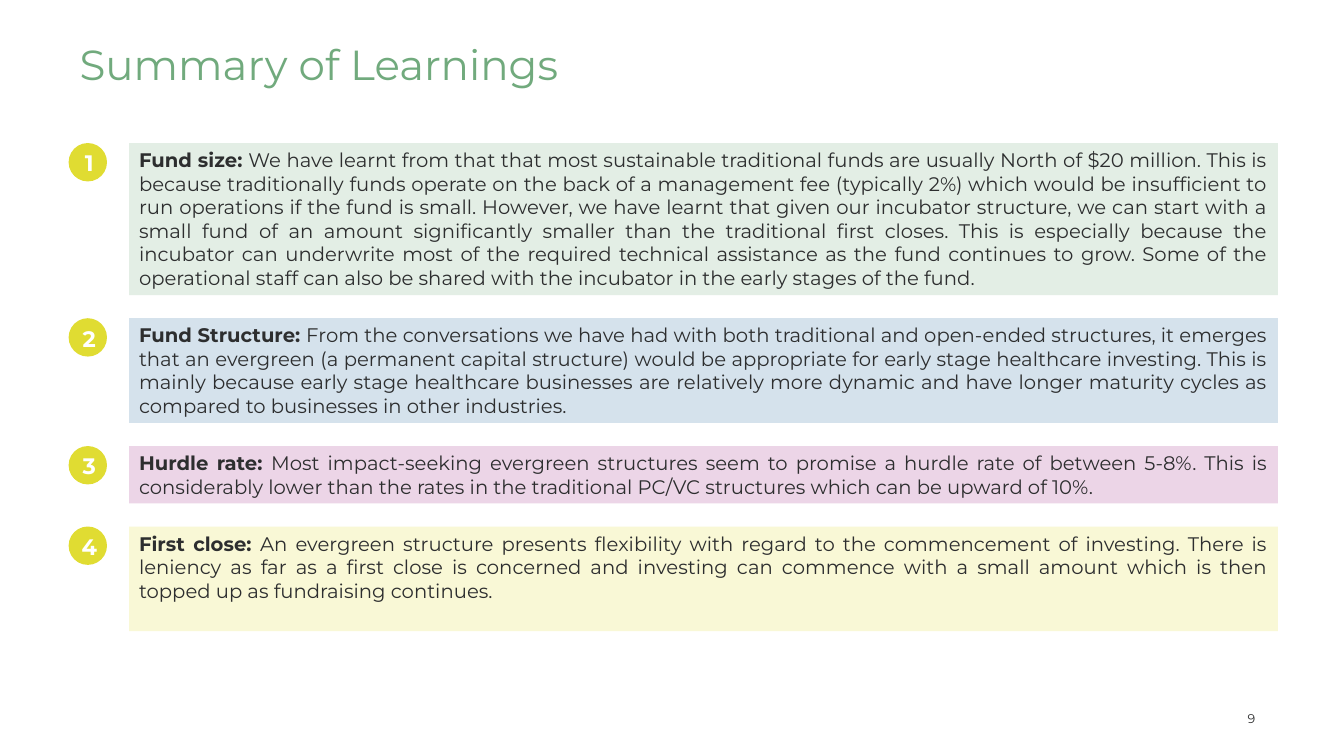
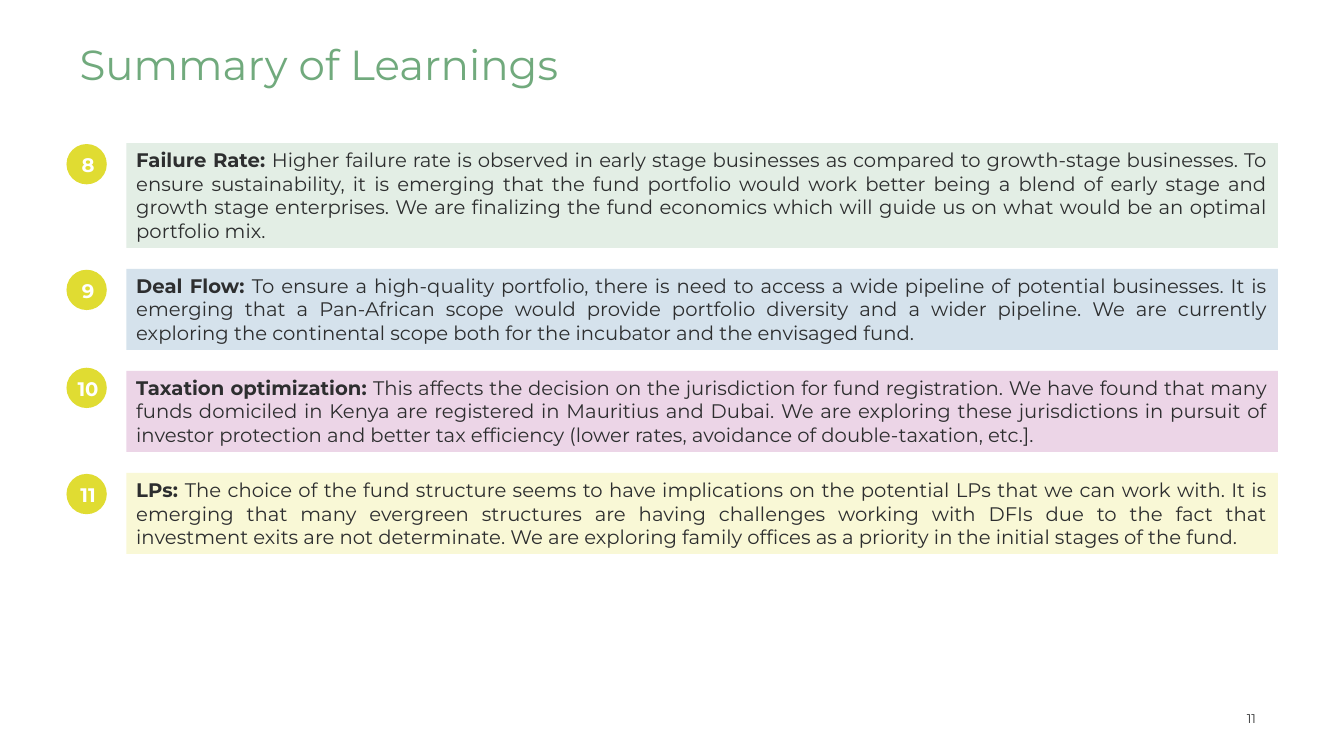
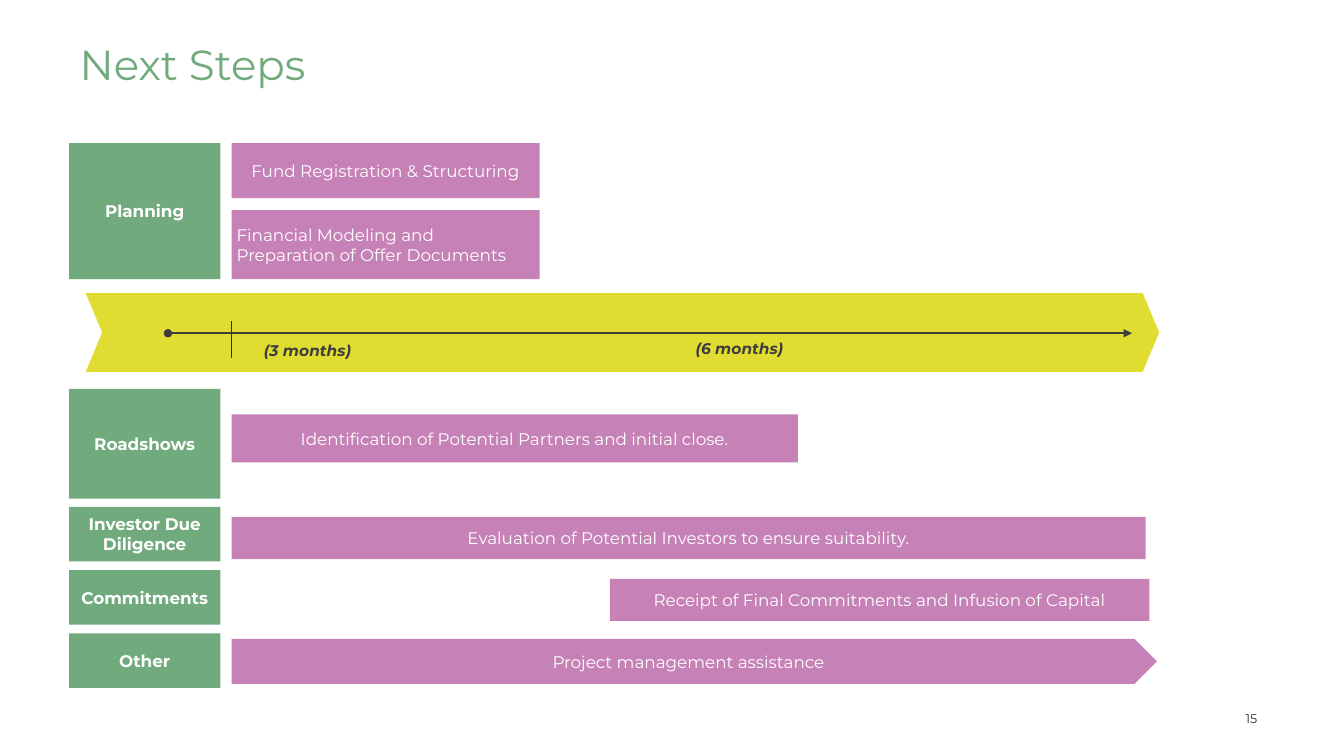
from lxml import etree
from pptx import Presentation
from pptx.dml.color import RGBColor
from pptx.enum.shapes import MSO_CONNECTOR, MSO_SHAPE
from pptx.enum.text import MSO_ANCHOR, PP_ALIGN
from pptx.oxml.ns import qn
from pptx.util import Pt

FONT = "Montserrat"
GREEN, YELLOW, PINK = "71AA7D", "E0DC32", "C682B7"
INK, CHARCOAL, WHITE = "2D2E2F", "3D3D3D", "FFFFFF"
CARD_FILLS = ("E3EEE5", "D5E2EC", "ECD5E7", "F9F8D6")

CARD_TOP, CARD_RIGHT = 102.2, 912.8
CARD_LINE, CARD_PADDING = 16.9, 7.2

# Each learning: number, heading, text, lines of height, drop of its badge below the card top
LEARNING_SLIDES = [
    dict(
        page="9", card_left=92.2, gap=16.5, badge_left=49, badge_size=27.4, number_size=16,
        learnings=[
            ("1", "Fund size: ",
             "We have learnt from that that most sustainable traditional funds are usually North of "
             "$20 million. This is because traditionally funds operate on the back of a management fee "
             "(typically 2%) which would be insufficient to run operations if the fund is small. However, "
             "we have learnt that given our incubator structure, we can start with a small fund of an "
             "amount significantly smaller than the traditional first closes. This is especially because "
             "the incubator can underwrite most of the required technical assistance as the fund continues "
             "to grow. Some of the operational staff can also be shared with the incubator in the early "
             "stages of the fund.", 6, 0),
            ("2", "Fund Structure: ",
             "From the conversations we have had with both traditional and open-ended structures, it "
             "emerges that an evergreen (a permanent capital structure) would be appropriate for early "
             "stage healthcare investing. This is mainly because early stage healthcare businesses are "
             "relatively more dynamic and have longer maturity cycles as compared to businesses in other "
             "industries.", 4, 0),
            ("3", "Hurdle rate: ",
             "Most impact-seeking evergreen structures seem to promise a hurdle rate of between 5-8%. "
             "This is considerably lower than the rates in the traditional PC/VC structures which can be "
             "upward of 10%.", 2, 0),
            ("4", "First close: ",
             "An evergreen structure presents flexibility with regard to the commencement of investing. "
             "There is leniency as far as a first close is concerned and investing can commence with a "
             "small amount which is then topped up as fundraising continues.", 4, 0),
        ]),
    dict(
        page="11", card_left=90.2, gap=15, badge_left=47.5, badge_size=28.8, number_size=14,
        learnings=[
            ("8", "Failure Rate: ",
             "Higher failure rate is observed in early stage businesses as compared to growth-stage "
             "businesses. To ensure sustainability, it is emerging that the fund portfolio would work "
             "better being a blend of early stage and growth stage enterprises. We are finalizing the "
             "fund economics which will guide us on what would be an optimal portfolio mix.", 4, 0.7),
            ("9", "Deal Flow: ",
             "To ensure a high-quality portfolio, there is need to access a wide pipeline of potential "
             "businesses. It is emerging that a Pan-African scope would provide portfolio diversity and a "
             "wider pipeline. We are currently exploring the continental scope both for the incubator and "
             "the envisaged fund.", 3, 0.7),
            ("10", "Taxation optimization: ",
             "This affects the decision on the jurisdiction for fund registration. We have found that "
             "many funds domiciled in Kenya are registered in Mauritius and Dubai. We are exploring these "
             "jurisdictions in pursuit of investor protection and better tax efficiency (lower rates, "
             "avoidance of double-taxation, etc.].", 3, -2.2),
            ("11", "LPs: ",
             "The choice of the fund structure seems to have implications on the potential LPs that we "
             "can work with. It is emerging that many evergreen structures are having challenges working "
             "with DFIs due to the fact that investment exits are not determinate. We are exploring family "
             "offices as a priority in the initial stages of the fund.", 3, 0.7),
        ]),
]

STAGE_LEFT, STAGE_WIDTH, TASK_LEFT = 49.4, 108, 165.4
STAGES = [  # name, top, height
    ("Planning", 102.2, 97.2),
    ("Roadshows", 277.7, 78.5),
    ("Investor Due Diligence", 362, 39),
    ("Commitments", 407.2, 39),
    ("Other", 452.4, 39),
]
TASKS = [  # text, left, top, width, height, shape, alignment
    ("Fund Registration & Structuring",
     TASK_LEFT, 102.2, 220, 39.4, MSO_SHAPE.RECTANGLE, PP_ALIGN.CENTER),
    ("Financial Modeling and Preparation of Offer Documents",
     TASK_LEFT, 150, 220, 49.4, MSO_SHAPE.RECTANGLE, PP_ALIGN.LEFT),
    ("Identification of Potential Partners and initial close.",
     TASK_LEFT, 296, 404.6, 34.4, MSO_SHAPE.RECTANGLE, PP_ALIGN.CENTER),
    ("Evaluation of Potential Investors to ensure suitability.",
     TASK_LEFT, 369.2, 653, 30.2, MSO_SHAPE.RECTANGLE, PP_ALIGN.CENTER),
    ("Receipt of Final Commitments and Infusion of Capital",
     435.6, 413.4, 385.4, 30.2, MSO_SHAPE.RECTANGLE, PP_ALIGN.CENTER),
    ("Project management assistance",
     TASK_LEFT, 456.4, 661, 32, MSO_SHAPE.PENTAGON, PP_ALIGN.CENTER),
]
PERIODS = [("(3 months)", 188.6, 243.4, 94.4), ("(6 months)", 496.8, 242, 123)]


def color(hex_code):
    return RGBColor.from_string(hex_code)


def write(shape, text, lead="", size=12, ink=WHITE, bold=False, italic=False,
          align=PP_ALIGN.CENTER, anchor=MSO_ANCHOR.MIDDLE,
          insets=(3.6, 3.6, 3.6, 3.6), wrap=True, spacing=None):
    """Fill a shape with one paragraph: a bold lead, then text; insets are left, top, right, bottom."""
    frame = shape.text_frame
    frame.word_wrap = wrap
    frame.vertical_anchor = anchor
    frame.margin_left, frame.margin_top, frame.margin_right, frame.margin_bottom = map(Pt, insets)
    paragraph = frame.paragraphs[0]
    paragraph.alignment = align
    paragraph.line_spacing = spacing
    for words, heavy in ((lead, True), (text, bold)):
        if words:
            run = paragraph.add_run()
            run.text = words
            font = run.font
            font.name, font.size, font.bold, font.italic = FONT, Pt(size), heavy, italic
            font.color.rgb = color(ink)


def add_block(slide, kind, left, top, width, height, fill):
    block = slide.shapes.add_shape(kind, Pt(left), Pt(top), Pt(width), Pt(height))
    block.shadow.inherit = False
    block.fill.solid()
    block.fill.fore_color.rgb = color(fill)
    block.line.fill.background()
    return block


def add_label(slide, left, top, width, height, text, **text_format):
    label = slide.shapes.add_textbox(Pt(left), Pt(top), Pt(width), Pt(height))
    write(label, text, **text_format)


def add_line(slide, start, end, ink, weight, **arrowheads):
    line = slide.shapes.add_connector(MSO_CONNECTOR.STRAIGHT, *map(Pt, start + end))
    line.line.color.rgb = color(ink)
    line.line.width = Pt(weight)
    outline = line.line._get_or_add_ln()
    for tag, arrowhead in arrowheads.items():
        etree.SubElement(outline, qn(f"a:{tag}"), type=arrowhead)
    etree.SubElement(line._element.spPr, qn("a:effectLst"))


def add_titled_slide(deck, heading, page):
    slide = deck.slides.add_slide(deck.slide_layouts[5])
    title = slide.shapes.title
    title.left, title.top, title.width, title.height = map(Pt, (49.7, 28, 741.6, 75))
    write(title, heading, size=30, ink=GREEN, align=PP_ALIGN.LEFT,
          anchor=MSO_ANCHOR.TOP, insets=(7.2, 3.6, 7.2, 3.6), spacing=0.9)
    add_label(slide, 876.2, 496.8, 35.3, 32.4, page, size=9, ink=INK)
    return slide


def add_learnings(deck, page, card_left, gap, badge_left, badge_size, number_size, learnings):
    slide = add_titled_slide(deck, "Summary of Learnings", page)
    top = CARD_TOP
    for (number, heading, text, lines, drop), fill in zip(learnings, CARD_FILLS):
        height = CARD_PADDING + lines * CARD_LINE
        card = add_block(slide, MSO_SHAPE.RECTANGLE, card_left, top,
                         CARD_RIGHT - card_left, height, fill)
        write(card, text, lead=heading, size=14, ink=INK, align=PP_ALIGN.JUSTIFY,
              anchor=MSO_ANCHOR.TOP, insets=(7.2, 3.6, 7.2, 3.6))
        badge = add_block(slide, MSO_SHAPE.OVAL, badge_left, top + drop,
                          badge_size, badge_size, YELLOW)
        write(badge, number, size=number_size, bold=True, insets=(2, 1, 0, 0), wrap=False)
        top += height + gap


def add_next_steps(deck):
    slide = add_titled_slide(deck, "Next Steps", "15")
    for name, top, height in STAGES:
        stage = add_block(slide, MSO_SHAPE.RECTANGLE, STAGE_LEFT, top, STAGE_WIDTH, height, GREEN)
        write(stage, name, bold=True)
    for text, left, top, width, height, kind, align in TASKS:
        write(add_block(slide, kind, left, top, width, height, PINK), text, align=align)

    timeline = add_block(slide, MSO_SHAPE.CHEVRON, 61.2, 209.4, 766.8, 56.2, YELLOW)
    timeline.adjustments[0] = 0.21
    add_line(slide, (120, 238), (808.6, 238), CHARCOAL, 1.5, headEnd="oval", tailEnd="triangle")
    add_line(slide, (TASK_LEFT, 229.6), (TASK_LEFT, 256), INK, 1)
    for period, left, top, width in PERIODS:
        add_label(slide, left, top, width, 13.4, period, size=11, ink=CHARCOAL, bold=True,
                  italic=True, align=PP_ALIGN.LEFT, anchor=MSO_ANCHOR.TOP, insets=(0, 0, 0, 0))


def main():
    deck = Presentation()
    deck.slide_width, deck.slide_height = Pt(960), Pt(540)
    for learning_slide in LEARNING_SLIDES:
        add_learnings(deck, **learning_slide)
    add_next_steps(deck)
    deck.save("out.pptx")


if __name__ == "__main__":
    main()
